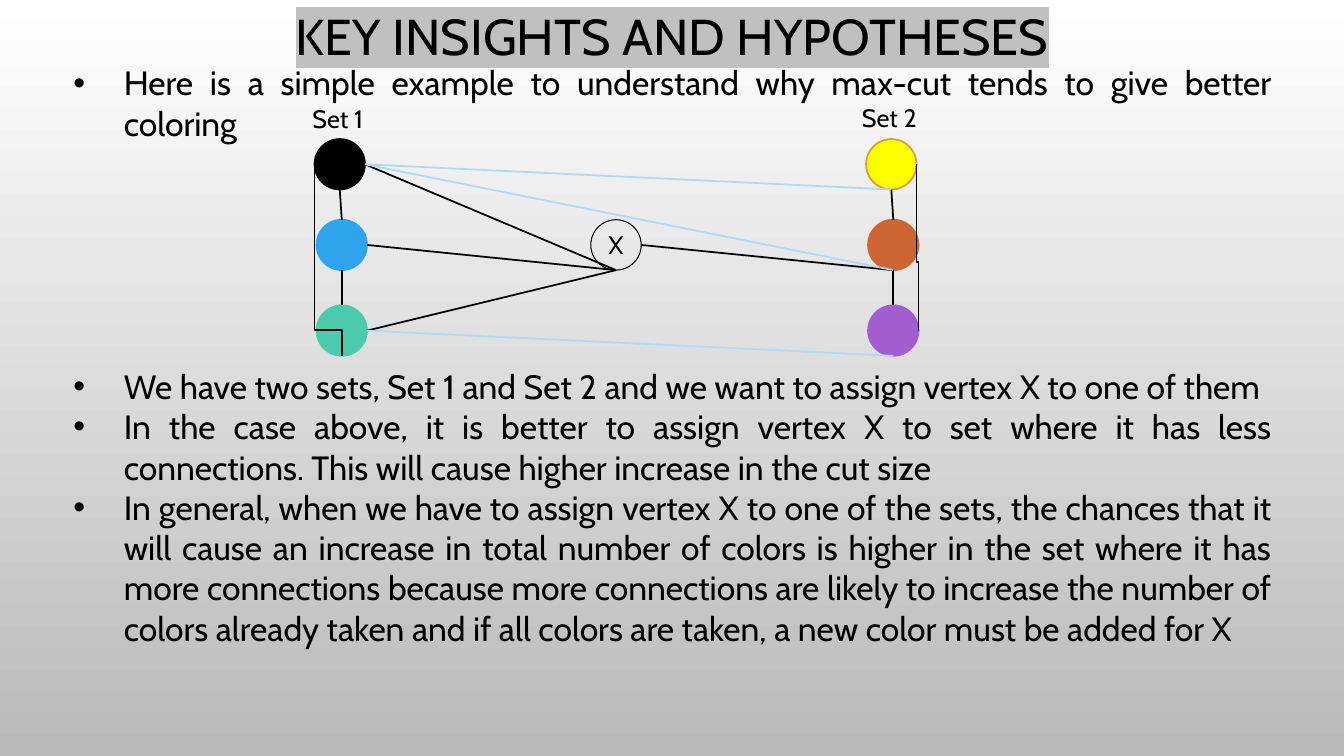
"""Build the max-cut key insights slide."""
from lxml import etree
from pptx import Presentation
from pptx.dml.color import RGBColor
from pptx.enum.shapes import MSO_CONNECTOR, MSO_SHAPE
from pptx.enum.text import MSO_ANCHOR, PP_ALIGN
from pptx.oxml.ns import qn
from pptx.util import Inches, Pt

STRAIGHT, ELBOW = MSO_CONNECTOR.STRAIGHT, MSO_CONNECTOR.ELBOW
CIRCLE = MSO_SHAPE.FLOWCHART_CONNECTOR
TOP, MIDDLE, BOTTOM = MSO_ANCHOR.TOP, MSO_ANCHOR.MIDDLE, MSO_ANCHOR.BOTTOM
LEFT, CENTER, JUSTIFY = PP_ALIGN.LEFT, PP_ALIGN.CENTER, PP_ALIGN.JUSTIFY
FONT = "Cabin"
BLACK = RGBColor(0x00, 0x00, 0x00)
WHITE = RGBColor(0xFF, 0xFF, 0xFF)
GRAY = RGBColor(0xB9, 0xB9, 0xB9)
BLUE = RGBColor(0x2F, 0xA3, 0xEE)
TEAL = RGBColor(0x4B, 0xCA, 0xAD)
RUST = RGBColor(0xCE, 0x66, 0x33)
PURPLE = RGBColor(0xA3, 0x5D, 0xD1)
YELLOW = RGBColor(0xFF, 0xFF, 0x00)
GOLD = RGBColor(0xD9, 0x9C, 0x3F)
PALE_BLUE = RGBColor(0xAC, 0xDA, 0xF8)
HIGHLIGHT = "C0C0C0"

TITLE = "KEY INSIGHTS AND HYPOTHESES"
INTRO = ["Here is a simple example to understand why max-cut tends to give better coloring"]
POINTS = [
    "We have two sets, Set 1 and Set 2 and we want to assign vertex X to one of them",
    "In the case above, it is better to assign vertex X to set where it has less "
    "connections. This will cause higher increase in the cut size",
    "In general, when we have to assign vertex X to one of the sets, the chances that it "
    "will cause an increase in total number of colors is higher in the set where it has "
    "more connections because more connections are likely to increase the number of "
    "colors already taken and if all colors are taken, a new color must be added for X",
]
LABELS = [("Set 1", 3.0, 0.98), ("Set 2", 8.45, 0.97)]
SIZE = 0.5
NODES = {
    "blue": (3.14, 2.18, BLUE, BLUE),
    "teal": (3.14, 3.03, TEAL, TEAL),
    "black": (3.12, 1.38, BLACK, BLACK),
    "rust": (8.61, 2.18, RUST, RUST),
    "purple": (8.61, 3.03, PURPLE, PURPLE),
    "yellow": (8.59, 1.38, YELLOW, GOLD),
    "X": (5.86, 2.18, None, BLACK),
}
SITES = {"top": (0.5, 0), "right": (1, 0.5), "bottom": (0.5, 1), "left": (0, 0.5)}
EDGES = [
    ("blue", "top", "black", "bottom", BLACK),
    ("blue", "bottom", "teal", "top", BLACK),
    ("yellow", "bottom", "rust", "top", BLACK),
    ("rust", "bottom", "purple", "top", BLACK),
    ("black", "right", "X", "bottom", BLACK),
    ("X", "bottom", "blue", "right", BLACK),
    ("X", "bottom", "teal", "right", BLACK),
    ("X", "right", "rust", "bottom", BLACK),
    ("yellow", "bottom", "black", "right", PALE_BLUE),
    ("rust", "bottom", "black", "right", PALE_BLUE),
    ("purple", "bottom", "teal", "right", PALE_BLUE),
]
BENDS = [
    ("black", "left", "teal", "bottom", 86500),
    ("yellow", "right", "purple", "right", 58700),
]


def add_run(p, text, size):
    r = p.add_run()
    r.text = text
    r.font.size = Pt(size)
    r.font.name = FONT
    r.font.color.rgb = BLACK
    return r


def add_text(s, box, lines, size, align=LEFT, anchor=TOP, wrap=True, bullet=False):
    tf = s.shapes.add_textbox(*map(Inches, box)).text_frame
    tf.word_wrap = wrap
    tf.vertical_anchor = anchor
    for i, line in enumerate(lines):
        p = tf.add_paragraph() if i else tf.paragraphs[0]
        p.alignment = align
        if bullet:
            pPr = p._p.get_or_add_pPr()
            pPr.set("marL", str(Inches(0.5)))
            pPr.set("indent", str(-Inches(0.5)))
            color = etree.SubElement(pPr, qn("a:buClr"))
            etree.SubElement(color, qn("a:srgbClr"), val=str(BLACK))
            etree.SubElement(pPr, qn("a:buFont"), typeface="Arial")
            etree.SubElement(pPr, qn("a:buChar"), char="•")
        add_run(p, line, size)
    return tf


def add_title(s):
    tf = add_text(s, (1.17, -0.01, 10.99, 0.72), [TITLE], 36, CENTER, BOTTOM)
    p = tf.paragraphs[0]
    p.line_spacing = 0.9
    mark = etree.Element(qn("a:highlight"))
    etree.SubElement(mark, qn("a:srgbClr"), val=HIGHLIGHT)
    p.runs[0]._r.rPr.find(qn("a:solidFill")).addnext(mark)


def add_node(s, name):
    x, y, fill, line = NODES[name]
    sp = s.shapes.add_shape(CIRCLE, *map(Inches, (x, y, SIZE, SIZE)))
    sp.shadow.inherit = False
    sp.line.color.rgb = line
    sp.line.width = Pt(1.25 if fill else 0.75)
    if fill:
        sp.fill.solid()
        sp.fill.fore_color.rgb = fill
    else:
        sp.fill.background()
        tf = sp.text_frame
        tf.vertical_anchor = MIDDLE
        p = tf.paragraphs[0]
        p.alignment = CENTER
        add_run(p, name, 18)


def site(name, side):
    x, y = NODES[name][:2]
    dx, dy = SITES[side]
    return x + dx * SIZE, y + dy * SIZE


def add_line(s, kind, start, end, color):
    c = s.shapes.add_connector(kind, *map(Inches, start + end))
    c.line.color.rgb = color
    c.line.width = Pt(1.25)
    etree.SubElement(c._element.spPr, qn("a:effectLst"))
    return c


def add_bend(s, start, end, adjust):
    cx, cy = (start[0] + end[0]) / 2, (start[1] + end[1]) / 2
    half_w, half_h = (end[1] - start[1]) / 2, (end[0] - start[0]) / 2
    c = add_line(s, ELBOW, (cx + half_w, cy - half_h), (cx - half_w, cy + half_h), BLACK)
    spPr = c._element.spPr
    spPr.find(qn("a:xfrm")).set("rot", str(270 * 60000))
    guides = spPr.find(qn("a:prstGeom")).find(qn("a:avLst"))
    etree.SubElement(guides, qn("a:gd"), name="adj1", fmla=f"val {adjust}")


def main():
    prs = Presentation()
    prs.slide_width, prs.slide_height = Inches(13.33), Inches(7.5)
    s = prs.slides.add_slide(prs.slide_layouts[6])
    fill = s.background.fill
    fill.gradient()
    fill.gradient_angle = 270
    for stop, color in zip(fill.gradient_stops, (WHITE, GRAY)):
        stop.color.rgb = color

    add_title(s)
    for name in NODES:
        add_node(s, name)
    for a, side_a, b, side_b, adjust in BENDS:
        add_bend(s, site(a, side_a), site(b, side_b), adjust)
    for a, side_a, b, side_b, color in EDGES:
        add_line(s, STRAIGHT, site(a, side_a), site(b, side_b), color)
    for text, x, y in LABELS:
        add_text(s, (x, y, 0.77, 0.4), [text], 18, wrap=False)
    for lines, y, height in ((INTRO, 0.57, 1.2), (POINTS, 3.58, 4)):
        add_text(s, (0.63, y, 12.08, height), lines, 24, JUSTIFY, bullet=True)
    prs.save("out.pptx")


if __name__ == "__main__":
    main()
